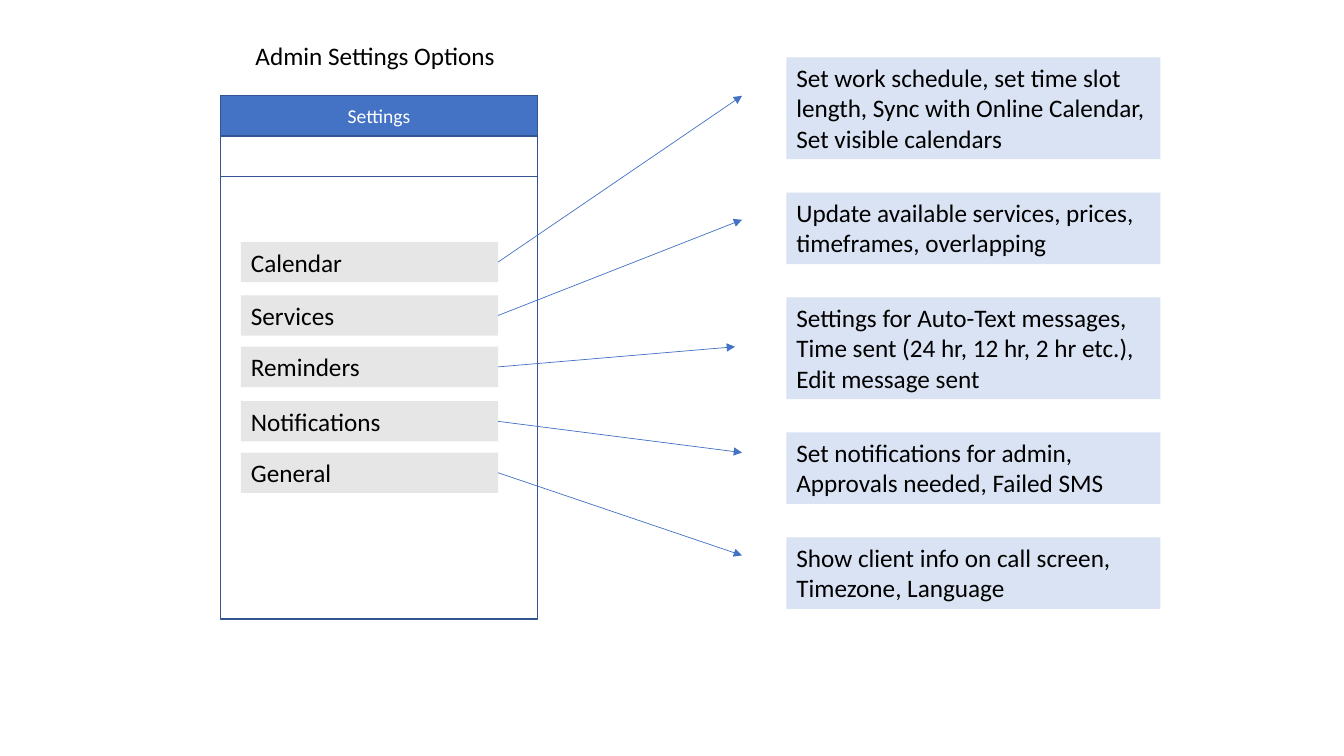
from lxml import etree
from pptx import Presentation
from pptx import util as u
from pptx.dml.color import RGBColor
from pptx.enum import shapes, text
from pptx.oxml import ns

WHITE = RGBColor(0xFF, 0xFF, 0xFF)
BLACK = RGBColor(0x00, 0x00, 0x00)
BLUE = RGBColor(0x44, 0x72, 0xC4)
NAVY = RGBColor(0x32, 0x54, 0x91)
GREY = RGBColor(0xE7, 0xE6, 0xE6)
PALE_BLUE = RGBColor(0xDA, 0xE3, 0xF3)

CELL = 0.1

PANEL_LEFT, PANEL_TOP, PANEL_WIDTH, PANEL_HEIGHT = 21.9, 9.5, 31.4, 51.9
BAR_HEIGHT = 4
OPTION_LEFT, OPTION_WIDTH, OPTION_HEIGHT = 23.9, 25.5, 4
DETAIL_LEFT, DETAIL_WIDTH, DETAIL_TOP, DETAIL_GAP = 78, 37.1, 5.7, 3.3
DETAIL_HEIGHTS = {2: 7.1, 3: 10.1}

OPTIONS = [
    ("Calendar", 24, (73.6, 9.5), 3,
     "Set work schedule, set time slot length, Sync with Online Calendar, Set visible calendars"),
    ("Services", 29.3, (73.6, 21.8), 2,
     "Update available services, prices, timeframes, overlapping"),
    ("Reminders", 34.4, (72.9, 34.4), 3,
     "Settings for Auto-Text messages, Time sent (24 hr, 12 hr, 2 hr etc.), Edit message sent"),
    ("Notifications", 39.8, (73.6, 44.9), 2,
     "Set notifications for admin, Approvals needed, Failed SMS"),
    ("General", 44.9, (73.6, 55.1), 2,
     "Show client info on call screen, Timezone, Language"),
]


def cells(count):
    return u.Inches(count * CELL)


def write(frame, words, size=18, color=BLACK, align=text.PP_ALIGN.LEFT,
          anchor=text.MSO_ANCHOR.TOP, fit=text.MSO_AUTO_SIZE.SHAPE_TO_FIT_TEXT):
    frame.word_wrap = True
    frame.auto_size = fit
    frame.vertical_anchor = anchor
    paragraph = frame.paragraphs[0]
    paragraph.alignment = align
    run = paragraph.add_run()
    run.text = words
    run.font.name = "Calibri"
    run.font.size = u.Pt(size)
    run.font.color.rgb = color


class Board:
    def __init__(self, deck):
        self.slide = deck.slides.add_slide(deck.slide_layouts[5])

    def title(self, words, left, top, width, height):
        heading = self.slide.shapes.title
        heading.left, heading.top = cells(left), cells(top)
        heading.width, heading.height = cells(width), cells(height)
        write(heading.text_frame, words, align=text.PP_ALIGN.CENTER)

    def box(self, left, top, width, height, fill, outline=None, words=None, **style):
        rect = self.slide.shapes.add_shape(
            shapes.MSO_SHAPE.RECTANGLE, cells(left), cells(top), cells(width), cells(height))
        rect.shadow.inherit = False
        rect.fill.solid()
        rect.fill.fore_color.rgb = fill
        if outline is None:
            rect.line.fill.background()
        else:
            rect.line.color.rgb = outline
            rect.line.width = u.Pt(1)
        if words:
            write(rect.text_frame, words, **style)

    def arrow(self, start, end):
        link = self.slide.shapes.add_connector(
            shapes.MSO_CONNECTOR.STRAIGHT, *map(cells, (*start, *end)))
        link.line.color.rgb = BLUE
        link.line.width = u.Pt(0.5)
        etree.SubElement(link.line._get_or_add_ln(), ns.qn("a:tailEnd"), type="triangle")
        etree.SubElement(link._element.spPr, ns.qn("a:effectLst"))


def main():
    deck = Presentation()
    deck.slide_width, deck.slide_height = u.Inches(13.33), u.Inches(7.5)
    board = Board(deck)

    board.title("Admin Settings Options", 20.9, 3.5, 32.6, 4)
    board.box(PANEL_LEFT, PANEL_TOP, PANEL_WIDTH, PANEL_HEIGHT, WHITE, NAVY)
    board.box(PANEL_LEFT, PANEL_TOP, PANEL_WIDTH, BAR_HEIGHT, BLUE, NAVY, "Settings",
              size=14, color=WHITE, align=text.PP_ALIGN.CENTER,
              anchor=text.MSO_ANCHOR.MIDDLE, fit=text.MSO_AUTO_SIZE.NONE)
    board.box(PANEL_LEFT, PANEL_TOP + BAR_HEIGHT, PANEL_WIDTH, BAR_HEIGHT, WHITE, NAVY)

    detail_top = DETAIL_TOP
    for option, top, arrow_end, line_count, detail in OPTIONS:
        board.box(OPTION_LEFT, top, OPTION_WIDTH, OPTION_HEIGHT, GREY, words=option)
        board.arrow((OPTION_LEFT + OPTION_WIDTH, top + OPTION_HEIGHT / 2), arrow_end)
        detail_height = DETAIL_HEIGHTS[line_count]
        board.box(DETAIL_LEFT, detail_top, DETAIL_WIDTH, detail_height, PALE_BLUE, words=detail)
        detail_top += detail_height + DETAIL_GAP

    deck.save("out.pptx")


if __name__ == "__main__":
    main()
